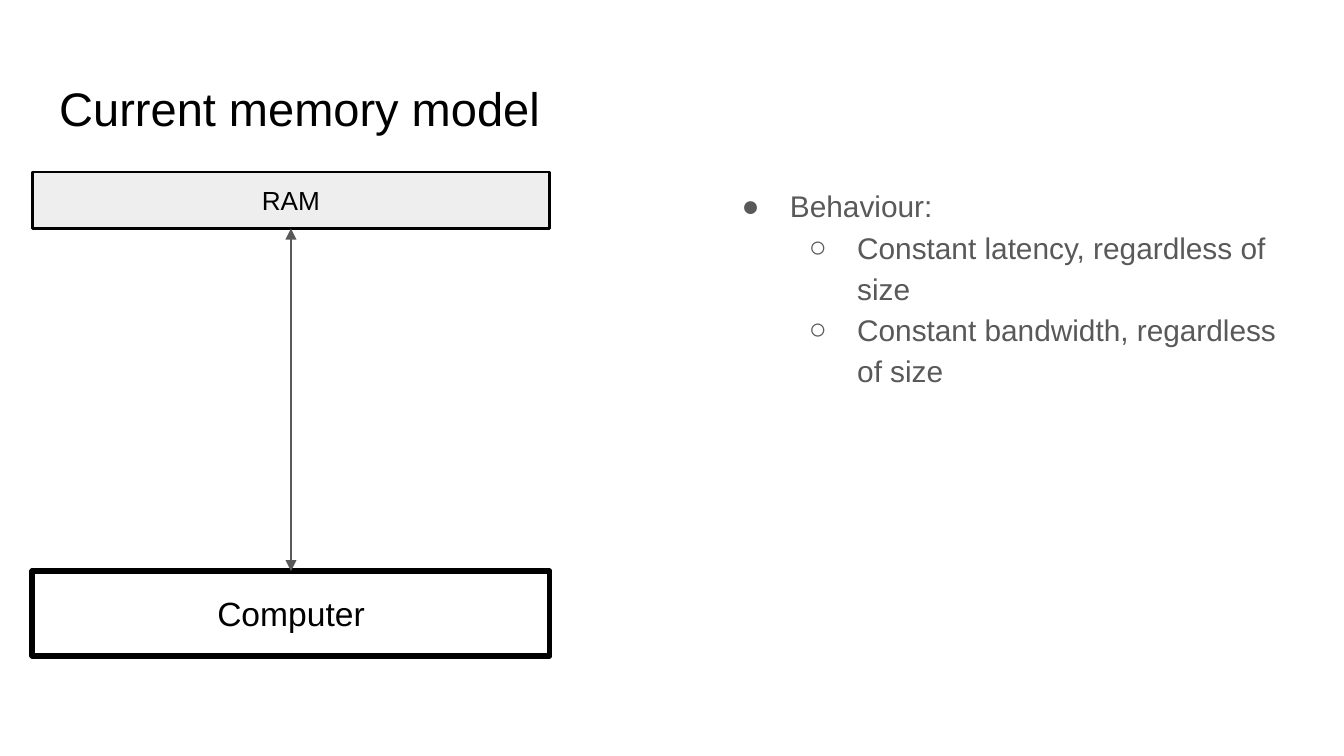
import pptx
import pptx.dml.color
import pptx.enum.shapes
import pptx.enum.text
import pptx.oxml
import pptx.oxml.ns
import pptx.util
from lxml import etree

# Widescreen slide, in inches
WIDTH = 10
HEIGHT = WIDTH * 9 / 16
FONT = "Arial"
COLORS = {"black": "000000", "gray": "595959", "light": "EEEEEE"}

# Column shared by the two stacked blocks
BLOCK_LEFT, BLOCK_WIDTH = 0.24, 3.85

BEHAVIOUR = [
    (0, "Behaviour:"),
    (1, "Constant latency, regardless of size"),
    (1, "Constant bandwidth, regardless of size"),
]
BULLETS = "●○"


def inches(*lengths):
    return [pptx.util.Inches(length) for length in lengths]


def rgb(name):
    return pptx.dml.color.RGBColor.from_string(COLORS[name])


def format_frame(frame, anchor=pptx.enum.text.MSO_ANCHOR.TOP):
    frame.word_wrap = True
    frame.auto_size = pptx.enum.text.MSO_AUTO_SIZE.NONE
    frame.vertical_anchor = anchor
    frame.margin_left = frame.margin_right = pptx.util.Inches(0.1)
    frame.margin_top = frame.margin_bottom = pptx.util.Inches(0.1)


def format_paragraph(paragraph, size, color, align=pptx.enum.text.PP_ALIGN.LEFT):
    paragraph.alignment = align
    paragraph.font.name = FONT
    paragraph.font.size = pptx.util.Pt(size)
    paragraph.font.color.rgb = rgb(color)


def add_title(slide, text):
    title = slide.shapes.title
    title.left, title.top, title.width, title.height = inches(0.34, 0.49, 9.32, 0.63)
    title.text_frame.text = text
    format_frame(title.text_frame)
    format_paragraph(title.text_frame.paragraphs[0], 25.2, "black")


def add_block(slide, text, top, height, size, border, fill=None):
    block = slide.shapes.add_shape(
        pptx.enum.shapes.MSO_SHAPE.RECTANGLE,
        *inches(BLOCK_LEFT, top, BLOCK_WIDTH, height))
    block.shadow.inherit = False
    if fill:
        block.fill.solid()
        block.fill.fore_color.rgb = rgb(fill)
    else:
        block.fill.background()
    block.line.color.rgb = rgb("black")
    block.line.width = pptx.util.Pt(border)
    block.text_frame.text = text
    format_frame(block.text_frame, pptx.enum.text.MSO_ANCHOR.MIDDLE)
    format_paragraph(block.text_frame.paragraphs[0], size, "black",
                     pptx.enum.text.PP_ALIGN.CENTER)
    return block


def add_double_arrow(slide, upper, lower):
    arrow = slide.shapes.add_connector(
        pptx.enum.shapes.MSO_CONNECTOR.STRAIGHT, 0, 0, 0, 0)
    arrow.begin_connect(upper, 2)
    arrow.end_connect(lower, 0)
    arrow.line.color.rgb = rgb("gray")
    arrow.line.width = pptx.util.Pt(1.5)
    line = arrow.line._get_or_add_ln()
    for end in ("a:headEnd", "a:tailEnd"):
        etree.SubElement(line, pptx.oxml.ns.qn(end), type="triangle")
    etree.SubElement(arrow._element.spPr, pptx.oxml.ns.qn("a:effectLst"))


def add_bullet(paragraph, level, color):
    properties = paragraph._p.get_or_add_pPr()
    properties.set("marL", str(pptx.util.Inches(0.5 * (level + 1))))
    properties.set("indent", str(pptx.util.Inches(-0.36)))
    bullet_color = etree.SubElement(properties, pptx.oxml.ns.qn("a:buClr"))
    etree.SubElement(bullet_color, pptx.oxml.ns.qn("a:srgbClr"), val=COLORS[color])
    etree.SubElement(properties, pptx.oxml.ns.qn("a:buFont"), typeface=FONT)
    etree.SubElement(properties, pptx.oxml.ns.qn("a:buChar"), char=BULLETS[level])


def add_bullet_list(slide, items):
    frame = slide.shapes.add_textbox(*inches(5.28, 1.26, 4.37, 3.74)).text_frame
    format_frame(frame)
    for index, (level, text) in enumerate(items):
        paragraph = frame.add_paragraph() if index else frame.paragraphs[0]
        paragraph.text = text
        paragraph.level = level
        paragraph.line_spacing = 1.15
        add_bullet(paragraph, level, "gray")
        format_paragraph(paragraph, 16, "gray")


def main():
    deck = pptx.Presentation()
    deck.slide_width, deck.slide_height = inches(WIDTH, HEIGHT)
    slide = deck.slides.add_slide(deck.slide_layouts[5])

    add_title(slide, "Current memory model")

    # Memory diagram
    computer = add_block(slide, "Computer", 4.25, 0.63, size=18, border=3)
    ram = add_block(slide, "RAM", 1.28, 0.42, size=14, border=1.5, fill="light")
    add_double_arrow(slide, ram, computer)

    # Properties of the model
    add_bullet_list(slide, BEHAVIOUR)

    deck.save("out.pptx")


if __name__ == "__main__":
    main()
